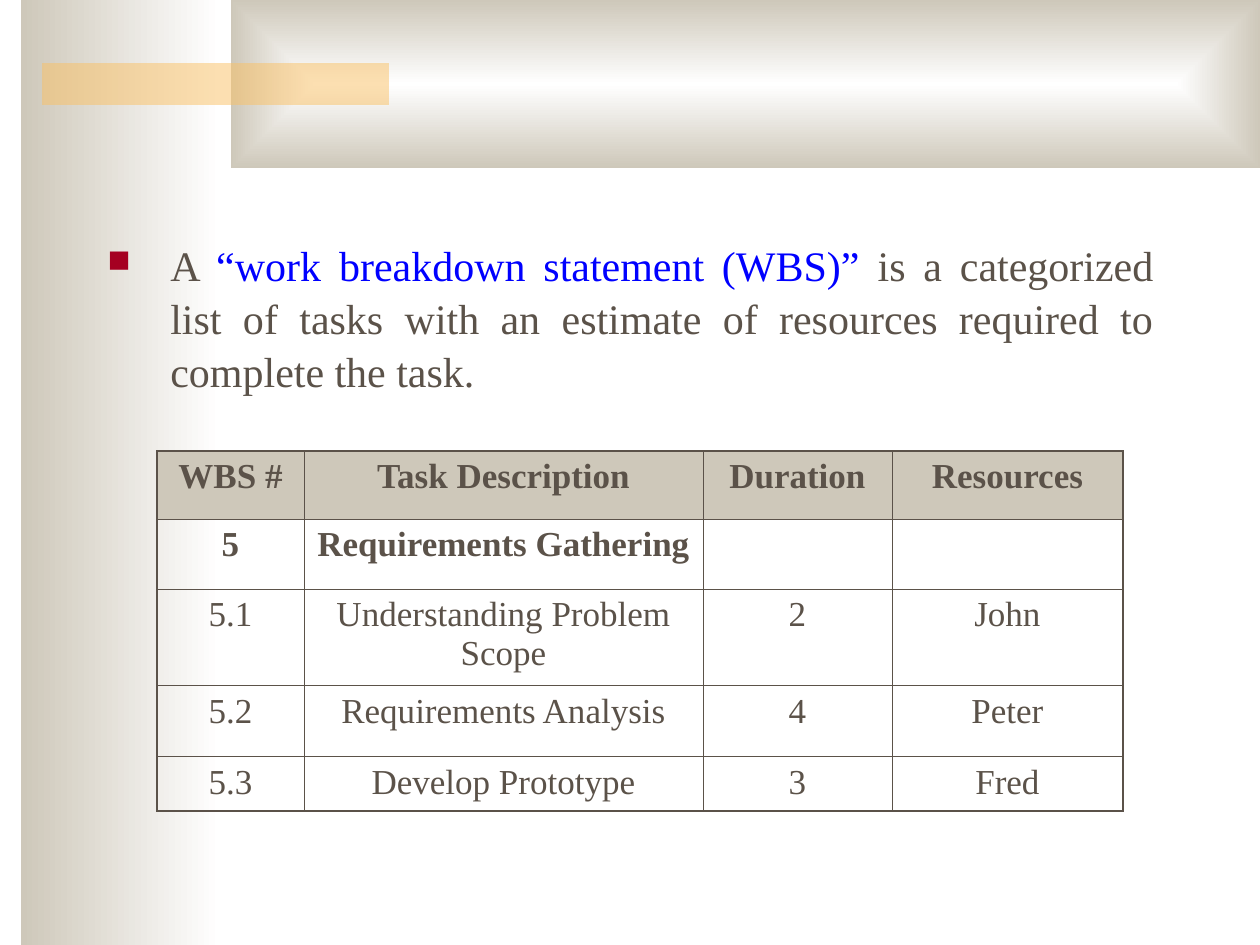
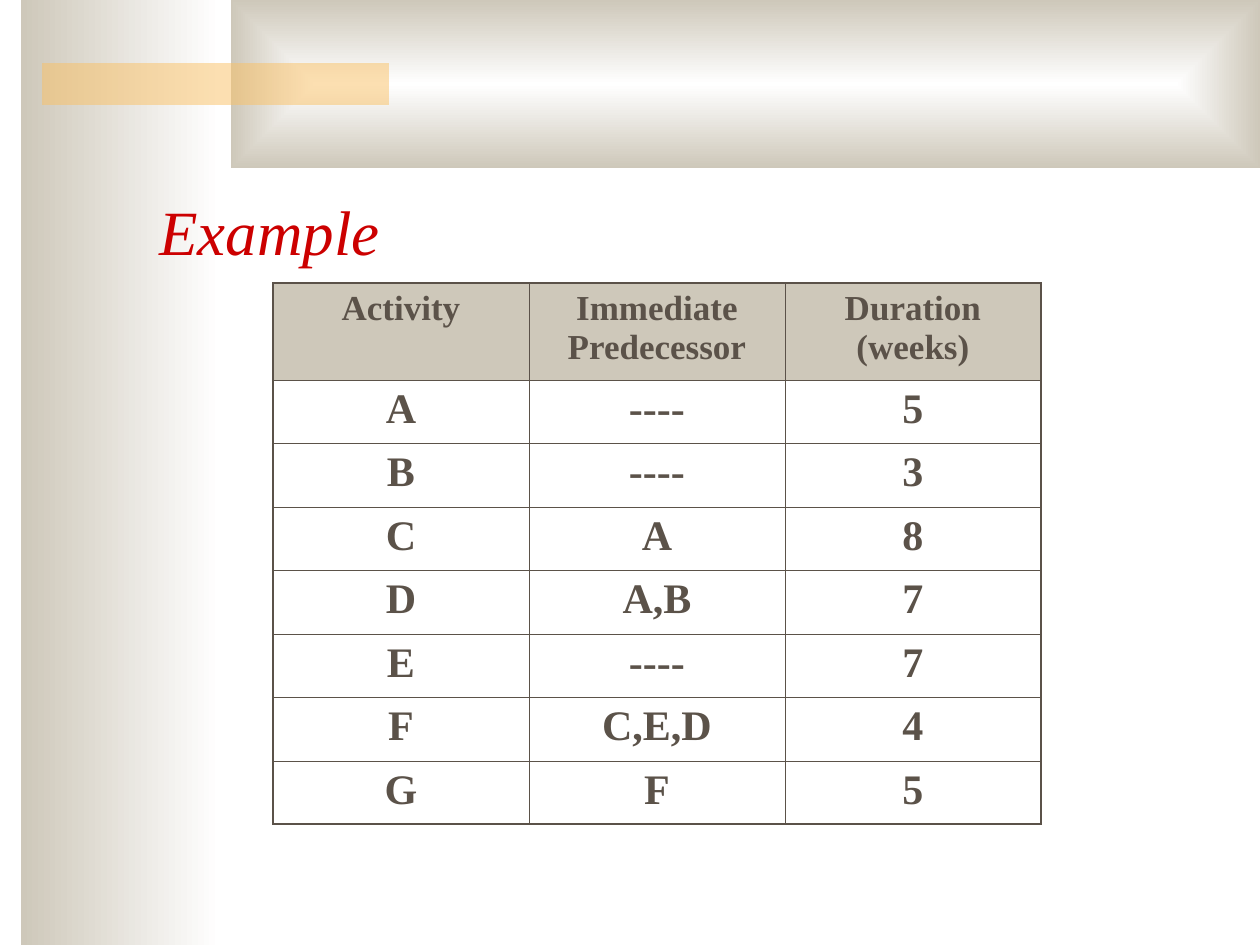
from lxml import etree
from pptx import Presentation
from pptx.dml.color import RGBColor
from pptx.enum.shapes import MSO_SHAPE
from pptx.enum.text import MSO_ANCHOR, PP_ALIGN
from pptx.oxml.ns import qn
from pptx.util import Emu, Pt

RECTANGLE = MSO_SHAPE.RECTANGLE
CENTER, JUSTIFY, LEFT = PP_ALIGN.CENTER, PP_ALIGN.JUSTIFY, PP_ALIGN.LEFT
TOP, BOTTOM = MSO_ANCHOR.TOP, MSO_ANCHOR.BOTTOM

EMU_PER_PX = 914400 / 126
PAGE_WIDTH, PAGE_HEIGHT = 1260, 945
FONT = "Times New Roman"
WHITE, SAND, AMBER = "FFFFFF", "CEC8BA", "FAC164"
BROWN, BLUE, RED, MAROON = "5B5249", "0000FF", "CC0000", "A50021"
THICK, THIN = 1.08, 0.45


def px(length):
    return Emu(round(length * EMU_PER_PX))


def color(hex_code):
    return RGBColor.from_string(hex_code)


def add_element(parent, tag, **attributes):
    element = etree.SubElement(parent, qn(tag))
    for name, value in attributes.items():
        element.set(name, str(value))
    return element


def add_span(para, text, size=24, hue=BROWN, bold=False, italic=False):
    span = para.add_run()
    span.text = text
    span.font.name = FONT
    span.font.size = Pt(size)
    span.font.bold = bold
    span.font.italic = italic
    span.font.color.rgb = color(hue)


def add_text_box(page, box, anchor=TOP, align=LEFT):
    """Add an empty wrapping text box and return its first paragraph."""
    frame = page.shapes.add_textbox(*map(px, box)).text_frame
    frame.word_wrap = True
    frame.vertical_anchor = anchor
    frame.paragraphs[0].alignment = align
    return frame.paragraphs[0]


def add_rectangle(page, box):
    shape = page.shapes.add_shape(RECTANGLE, *map(px, box))
    shape.shadow.inherit = False
    shape.line.fill.background()
    return shape


def fill_gradient(shape):
    """Fade from white to sand, towards the left edge."""
    shape.fill.gradient()
    shape.fill.gradient_angle = 180
    for stop, hue in zip(shape.fill.gradient_stops, (WHITE, SAND)):
        stop.color.rgb = color(hue)


def spread_from_center(shape):
    """Make a linear gradient run from the centre to all four edges."""
    gradient = shape._element.spPr.find(qn("a:gradFill"))
    gradient.remove(gradient.find(qn("a:lin")))
    route = add_element(gradient, "a:path", path="rect")
    add_element(route, "a:fillToRect", l=50000, t=50000, r=50000, b=50000)


def draw_backdrop(page):
    side_band = add_rectangle(page, (21, 0, 200, PAGE_HEIGHT))
    fill_gradient(side_band)
    top_band = add_rectangle(page, (231, 0, PAGE_WIDTH - 231, 168))
    fill_gradient(top_band)
    spread_from_center(top_band)
    accent_bar = add_rectangle(page, (42, 63, 347, 42))
    accent_bar.fill.solid()
    accent_bar.fill.fore_color.rgb = color(AMBER)
    tint = accent_bar._element.spPr.find(qn("a:solidFill"))[0]
    add_element(tint, "a:alpha", val=50000)


def add_title(page, box, text):
    add_span(add_text_box(page, box, anchor=BOTTOM), text, size=36, hue=RED, italic=True)


def add_bullet(page, box, spans):
    para = add_text_box(page, box, align=JUSTIFY)
    para.line_spacing = 1.05
    properties = para._p.get_or_add_pPr()
    properties.set("marL", str(px(63)))
    properties.set("indent", str(-px(63)))
    add_element(add_element(properties, "a:buClr"), "a:srgbClr", val=MAROON)
    add_element(properties, "a:buSzPct", val=75000)
    add_element(properties, "a:buChar", char="■")
    for text, hue in spans:
        add_span(para, text, hue=hue)


def set_borders(cell, widths):
    """Draw the left, right, top and bottom lines of a cell, in points."""
    properties = cell._tc.get_or_add_tcPr()
    for position, (side, width) in enumerate(zip("LRTB", widths)):
        line = add_element(properties, f"a:ln{side}", w=Pt(width))
        add_element(add_element(line, "a:solidFill"), "a:srgbClr", val=BROWN)
        properties.insert(position, line)


def add_grid(page, origin, widths, heights, rows, bold_rows, body_size=20):
    """Add a table with a sand header row, thin inner lines and a thicker frame."""
    box = (*origin, sum(widths), sum(heights))
    table = page.shapes.add_table(len(rows), len(widths), *map(px, box)).table
    table.first_row = table.horz_banding = False
    for column, width in zip(table.columns, widths):
        column.width = px(width)
    for row, height in zip(table.rows, heights):
        row.height = px(height)
    last_row, last_column = len(rows) - 1, len(widths) - 1
    for r, texts in enumerate(rows):
        for c, text in enumerate(texts):
            cell = table.cell(r, c)
            if r == 0:
                cell.fill.solid()
                cell.fill.fore_color.rgb = color(SAND)
            else:
                cell.fill.background()
            outer = (c == 0, c == last_column, r == 0, r == last_row)
            set_borders(cell, [THICK if edge else THIN for edge in outer])
            para = cell.text_frame.paragraphs[0]
            para.alignment = CENTER
            if text:
                add_span(para, text, size=body_size if r else 20, bold=r < bold_rows)


def build_breakdown_page(page):
    draw_backdrop(page)
    add_bullet(page, (95, 231, 1071, 632), [
        ("A ", BROWN),
        ("“work breakdown statement (WBS)”", BLUE),
        (" is a categorized list of tasks with an estimate of resources"
         " required to complete the task.", BROWN),
    ])
    tasks = [
        ("WBS #", "Task Description", "Duration", "Resources"),
        ("5", "Requirements Gathering", "", ""),
        ("5.1", "Understanding Problem Scope", "2", "John"),
        ("5.2", "Requirements Analysis", "4", "Peter"),
        ("5.3", "Develop Prototype", "3", "Fred"),
    ]
    add_grid(page, (157, 451), (147, 399, 189, 231), (68, 70, 96, 71, 54), tasks, bold_rows=2)


def build_example_page(page):
    draw_backdrop(page)
    add_title(page, (147, 116, 1071, 158), "Example")
    activities = [
        ("Activity", "Immediate Predecessor", "Duration (weeks)"),
        ("A", "----", "5"),
        ("B", "----", "3"),
        ("C", "A", "8"),
        ("D", "A,B", "7"),
        ("E", "----", "7"),
        ("F", "C,E,D", "4"),
        ("G", "F", "5"),
    ]
    heights = [97] + [63, 64] * 3 + [63]
    add_grid(page, (273, 283), [256] * 3, heights, activities,
             bold_rows=len(activities), body_size=24)


def main():
    deck = Presentation()
    deck.slide_width, deck.slide_height = px(PAGE_WIDTH), px(PAGE_HEIGHT)
    blank = deck.slide_layouts[6]
    for build_page in (build_breakdown_page, build_example_page):
        build_page(deck.slides.add_slide(blank))
    deck.save("out.pptx")


if __name__ == "__main__":
    main()
